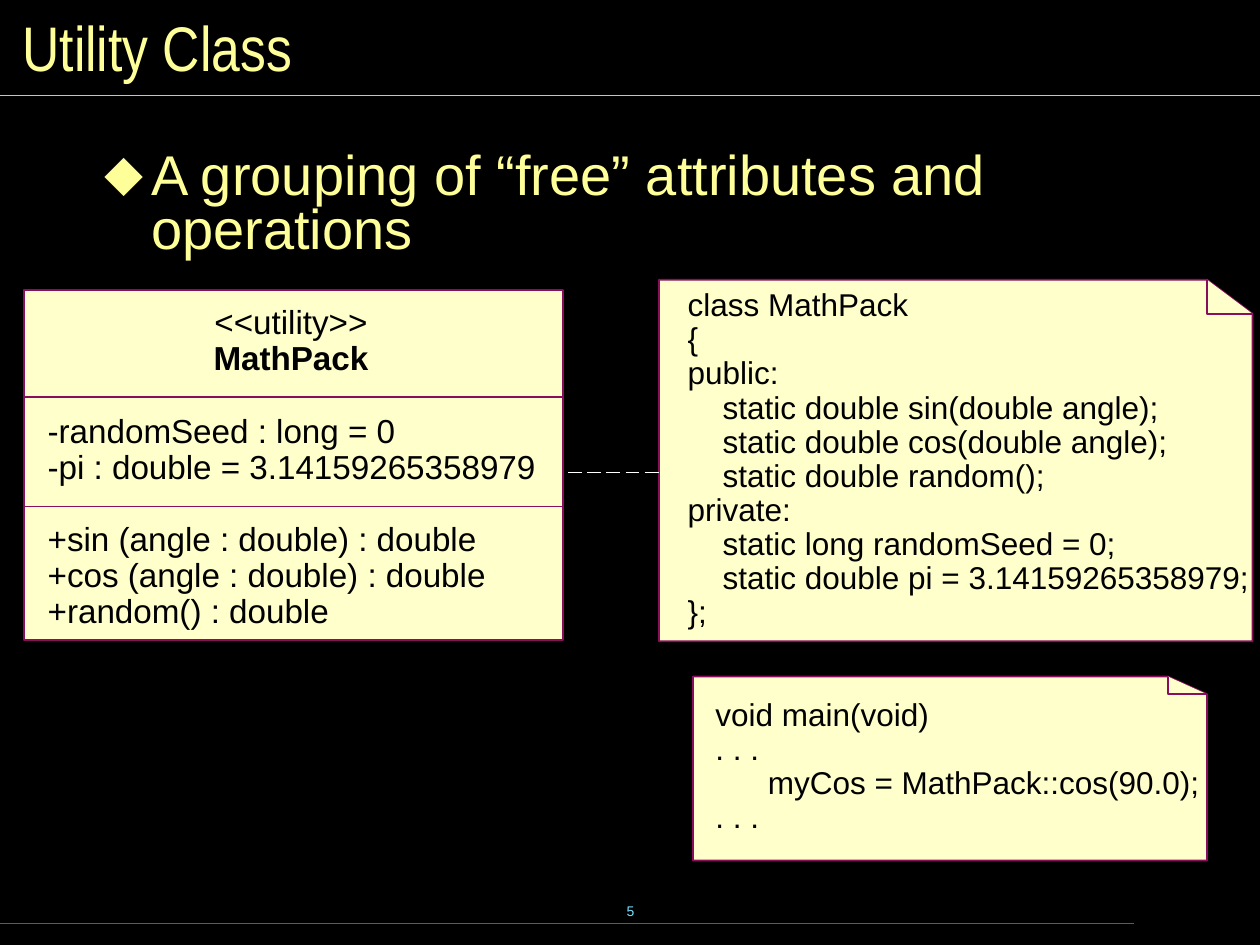
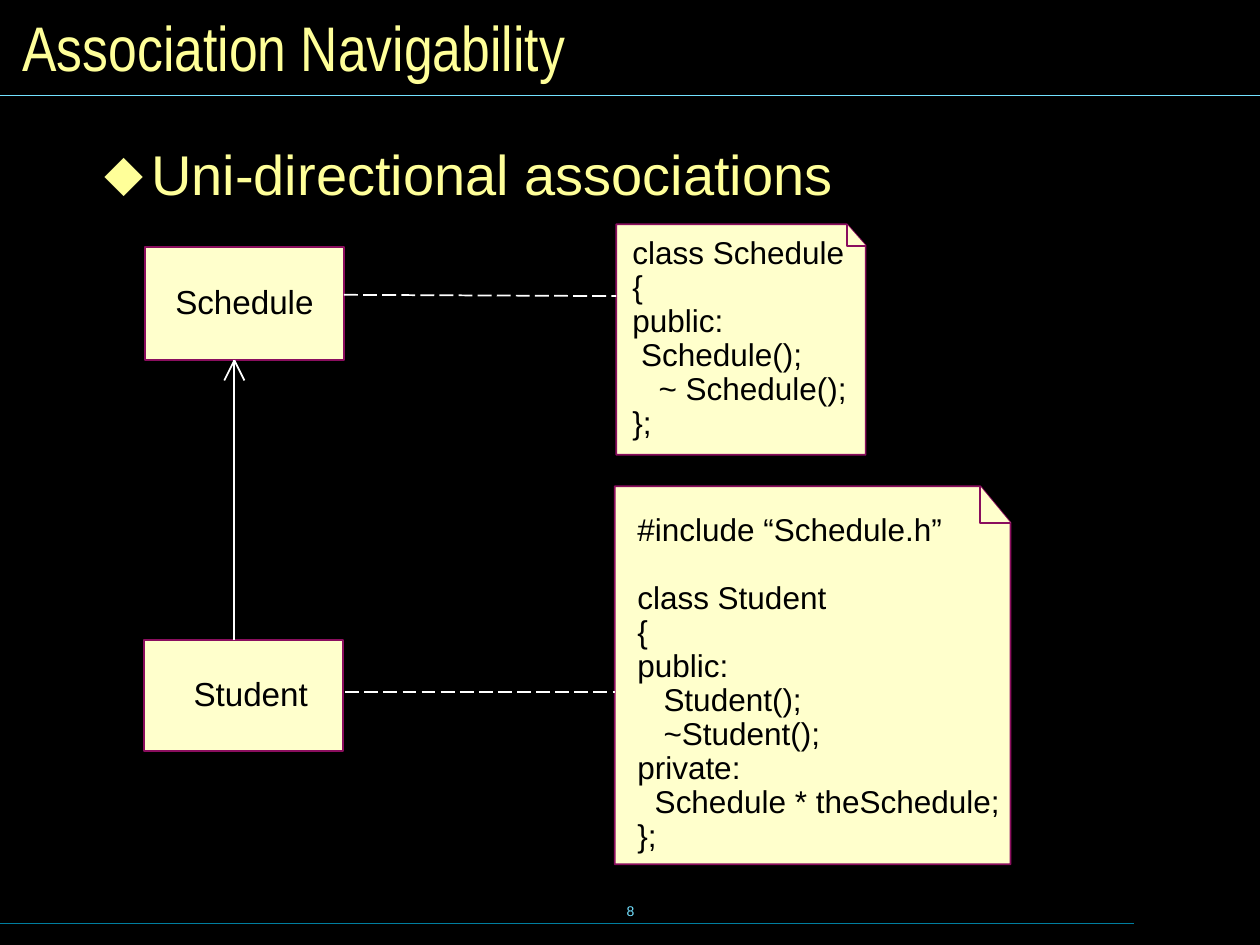
from lxml import etree
from pptx import Presentation
from pptx.dml.color import RGBColor
from pptx.enum import dml, shapes, text
from pptx.oxml import ns
from pptx.util import Inches, Pt

BLACK, WHITE, YELLOW = "000000", "FFFFFF", "FFFF99"
PAPER, PLUM, SKY, TEAL = "FFFFCC", "8A0E5E", "73E1FF", "007E9F"
LEFT, CENTER = text.PP_ALIGN.LEFT, text.PP_ALIGN.CENTER
MIDDLE = text.MSO_ANCHOR.MIDDLE
BLANK_LINE = 19.4

MATH_PACK_CODE = """class MathPack
{
public:
    static double sin(double angle);
    static double cos(double angle);
    static double random();
private:
    static long randomSeed = 0;
    static double pi = 3.14159265358979;
};"""

MAIN_CODE = """void main(void)
. . .
      myCos = MathPack::cos(90.0);
. . ."""

SCHEDULE_CODE = """class Schedule
{
public:
 Schedule();
   ~ Schedule();
};"""

STUDENT_CODE = """#include “Schedule.h”

class Student
{
public:
   Student();
   ~Student();
private:
  Schedule * theSchedule;
};"""


def colour(value):
    return RGBColor.from_string(value)


def apply(target, formats):
    for name, value in formats.items():
        setattr(target, name, value)


def inches(values):
    return [Inches(value) for value in values]


def paint(shape):
    """Give a shape the paper fill and plum outline."""
    shape.shadow.inherit = False
    shape.fill.solid()
    shape.fill.fore_color.rgb = colour(PAPER)
    shape.line.color.rgb = colour(PLUM)
    shape.line.width = Pt(1)


def write(frame, content, size, ink=BLACK, font="Arial", align=LEFT, spacing=0.9):
    """Write one paragraph per line; an empty line becomes space before the next."""
    gap, started = 0, False
    for line in content.split("\n"):
        if not line:
            gap += BLANK_LINE
            continue
        para = frame.add_paragraph() if started else frame.paragraphs[0]
        apply(para, {"alignment": align, "line_spacing": spacing})
        if gap:
            para.space_before = Pt(gap)
        span = para.add_run()
        span.text = line
        apply(span.font, {"size": Pt(size), "name": font})
        span.font.color.rgb = colour(ink)
        gap, started = 0, True


def add_text(page, place, content, size, margins=(0.1, 0.05, 0.1, 0.05),
             anchor=text.MSO_ANCHOR.TOP, **style):
    frame = page.shapes.add_textbox(*inches(place)).text_frame
    sides = ("margin_left", "margin_top", "margin_right", "margin_bottom")
    apply(frame, {"word_wrap": True, "vertical_anchor": anchor,
                  **dict(zip(sides, inches(margins)))})
    write(frame, content, size, **style)
    return frame


def add_line(page, start, end, ink, width=1, dashed=False):
    line = page.shapes.add_connector(shapes.MSO_CONNECTOR.STRAIGHT,
                                     *inches(start + end))
    line.line.color.rgb = colour(ink)
    line.line.width = Pt(width)
    if dashed:
        line.line.dash_style = dml.MSO_LINE.LONG_DASH
    etree.SubElement(line._element.spPr, ns.qn("a:effectLst"))


def add_outline(page, points, close):
    corners = [tuple(inches(point)) for point in points]
    builder = page.shapes.build_freeform(*corners[0], scale=1.0)
    builder.add_line_segments(corners[1:], close=close)
    paint(builder.convert_to_shape())


def add_note(page, place, fold, code, code_place):
    """Draw a sheet with a folded top right corner and its code."""
    left, top, width, height = place
    right, bottom = left + width, top + height
    crease, fold_end = right - fold[0], top + fold[1]
    add_outline(page, [(right, bottom), (left, bottom), (left, top),
                       (crease, top), (right, fold_end)], True)
    add_outline(page, [(right, fold_end), (crease, fold_end), (crease, top)], False)
    add_text(page, code_place, code, 18, margins=(0.1, 0.05, 0, 0.05))


def add_class(page, place, name="", left_margin=0):
    box = page.shapes.add_shape(shapes.MSO_SHAPE.RECTANGLE, *inches(place))
    paint(box)
    if name:
        apply(box.text_frame, {"vertical_anchor": MIDDLE, "margin_right": 0,
                               "margin_left": Inches(left_margin)})
        write(box.text_frame, name, 19, align=CENTER)


def add_navigation(page, start, end):
    """Draw an upward association with a wide open arrowhead."""
    add_line(page, start, end, WHITE)
    for side in (-0.08, 0.08):
        add_line(page, (end[0] + side, end[1] + 0.16), end, WHITE)


def add_bullet(page, content):
    frame = add_text(page, (0.71, 1.15, 9.28, 1.1), content, 32,
                     margins=(0.12, 0.06, 0.12, 0.06), ink=YELLOW, spacing=0.8)
    props = frame.paragraphs[0]._p.get_or_add_pPr()
    props.set("marL", str(Inches(0.37)))
    props.set("indent", str(-Inches(0.37)))
    tint = etree.SubElement(props, ns.qn("a:buClr"))
    etree.SubElement(tint, ns.qn("a:srgbClr"), val=YELLOW)
    etree.SubElement(props, ns.qn("a:buFont"), typeface="Arial")
    etree.SubElement(props, ns.qn("a:buChar"), char="⬥")


def add_page(deck, title, number, bullet):
    page = deck.slides.add_slide(deck.slide_layouts[6])
    page.background.fill.solid()
    page.background.fill.fore_color.rgb = colour(BLACK)
    add_text(page, (3.42, 6.98, 3.17, 0.5), number, 8, anchor=MIDDLE,
             ink=SKY, align=CENTER, spacing=1.0)
    add_line(page, (0, 7.33), (9, 7.33), TEAL, 0.75)
    add_line(page, (0, 0.76), (10, 0.76), SKY, 0.75)
    add_text(page, (0.08, 0.08, 9.84, 0.58), title, 36, anchor=MIDDLE,
             ink=YELLOW, font="Arial Narrow", spacing=1.0)
    add_bullet(page, bullet)
    return page


def build_utility_class(deck):
    page = add_page(deck, "Utility Class", "5",
                    "A grouping of “free” attributes and operations")
    add_class(page, (0.19, 2.3, 4.28, 2.78))
    for y in (3.15, 4.02):
        add_line(page, (0.19, y), (4.47, y), PLUM)
    heading = add_text(page, (0.28, 2.38, 4.06, 0.67), "<<utility>>\nMathPack", 19,
                       align=CENTER)
    heading.paragraphs[1].runs[0].font.bold = True
    add_text(page, (0.28, 3.24, 4.15, 0.67),
             "-randomSeed : long = 0\n-pi : double = 3.14159265358979", 19)
    add_text(page, (0.28, 4.1, 4.15, 0.95),
             "+sin (angle : double) : double\n+cos (angle : double) : double\n"
             "+random() : double", 19)
    add_note(page, (5.23, 2.22, 4.71, 2.87), (0.36, 0.27),
             MATH_PACK_CODE, (5.36, 2.25, 4.64, 2.79))
    add_line(page, (4.51, 3.75), (5.23, 3.75), WHITE, dashed=True)
    add_note(page, (5.5, 5.37, 4.08, 1.46), (0.31, 0.14),
             MAIN_CODE, (5.58, 5.5, 4.03, 1.17))


def build_navigability(deck):
    page = add_page(deck, "Association Navigability", "8",
                    "Uni-directional associations")
    add_class(page, (1.15, 1.96, 1.58, 0.9), "Schedule")
    add_class(page, (1.14, 5.08, 1.58, 0.88), "Student", left_margin=0.12)
    add_navigation(page, (1.86, 5.08), (1.86, 2.86))
    add_note(page, (4.89, 1.78, 1.98, 1.83), (0.15, 0.17),
             SCHEDULE_CODE, (4.92, 1.83, 1.95, 1.71))
    add_note(page, (4.88, 3.86, 3.14, 3), (0.24, 0.29),
             STUDENT_CODE, (4.96, 4.03, 3.07, 2.79))
    add_line(page, (2.73, 2.34), (4.89, 2.35), WHITE, dashed=True)
    add_line(page, (2.74, 5.49), (4.88, 5.49), WHITE, dashed=True)


def main():
    deck = Presentation()
    apply(deck, {"slide_width": Inches(10), "slide_height": Inches(7.5)})
    build_utility_class(deck)
    build_navigability(deck)
    deck.save("out.pptx")


if __name__ == "__main__":
    main()
